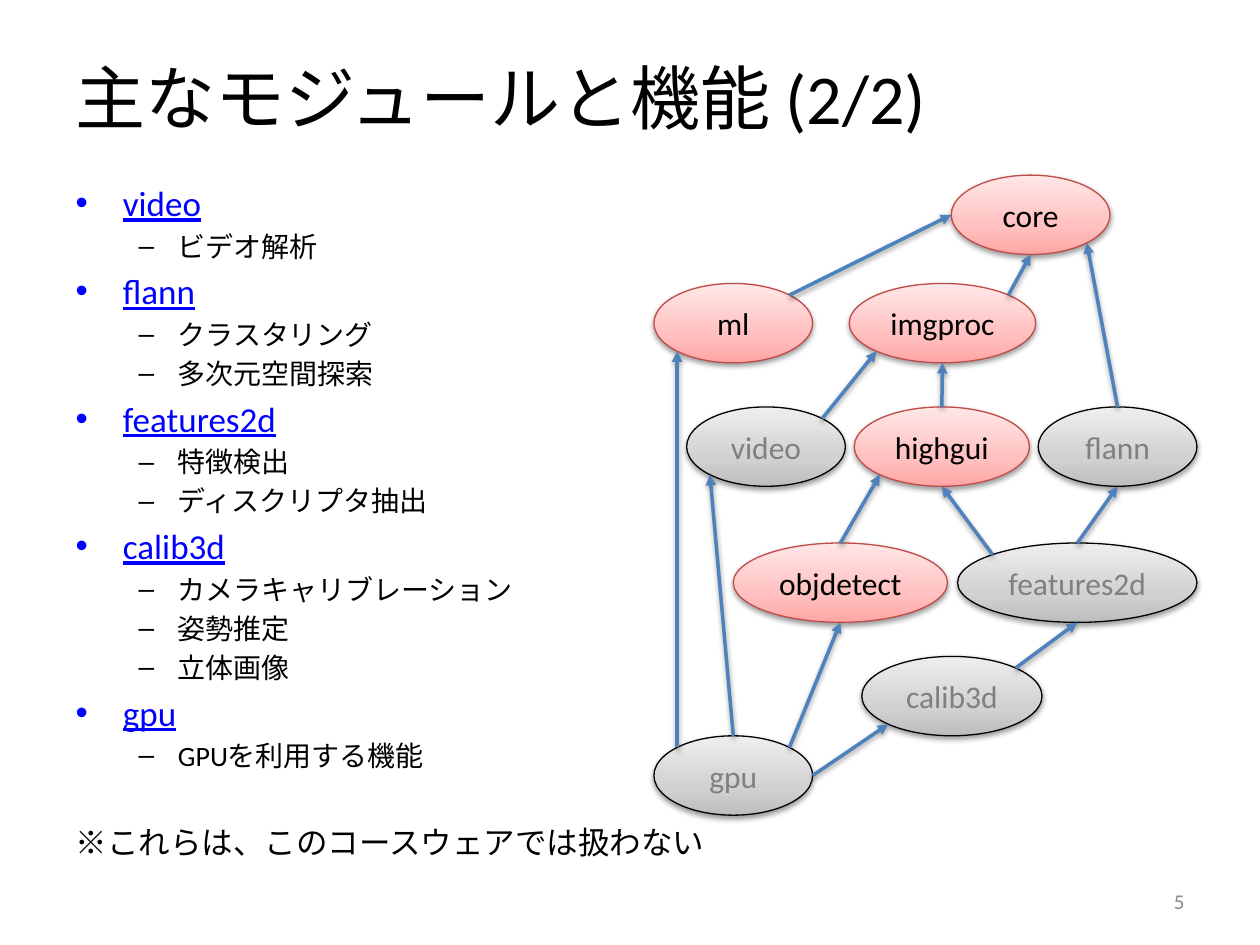
from math import sqrt
from lxml.etree import SubElement
from pptx import Presentation
from pptx.dml.color import RGBColor
from pptx.enum.lang import MSO_LANGUAGE_ID
from pptx.enum.shapes import MSO_CONNECTOR, MSO_SHAPE
from pptx.enum.text import MSO_ANCHOR, MSO_AUTO_SIZE, PP_ALIGN
from pptx.oxml import parse_xml
from pptx.oxml.ns import nsdecls, qn
from pptx.util import Inches, Pt

COLORS = {
    "text": "000000", "link": "0000FF", "number": "898989",
    "arrow": "4F81BD", "shadow": "000000",
}
STYLES = {
    "covered": {"stops": {0: "FFA6A5", 35: "FFC0BF", 100: "FFE7E7"},
                "line": "BF4C48", "text": "000000"},
    "skipped": {"stops": {0: "BDBDBD", 35: "D1D1D1", 100: "EEEEEE"},
                "line": "000000", "text": "808080"},
}


def write(para, text, size=18, color=COLORS["text"], underline=None, align=None):
    span = para.add_run()
    span.text = text
    span.font.name = "Calibri"
    span.font.size = Pt(size)
    span.font.color.rgb = RGBColor.from_string(color)
    span.font.underline = underline
    span.font.language_id = MSO_LANGUAGE_ID.JAPANESE
    para.alignment = align


def add_shadow(shape):
    shape._element.spPr.append(parse_xml(
        f'<a:effectLst {nsdecls("a")}><a:outerShdw blurRad="40000" dist="20000" '
        'dir="5400000" rotWithShape="0">'
        f'<a:srgbClr val="{COLORS["shadow"]}"><a:alpha val="38000"/></a:srgbClr>'
        '</a:outerShdw></a:effectLst>'))


deck = Presentation()
deck.slide_width, deck.slide_height = Inches(10), Inches(7.5)
page = deck.slides.add_slide(deck.slide_layouts[1])

# Grid of 100 columns by 75 rows
column, row = deck.slide_width / 100, deck.slide_height / 75

# Title
title, body = page.placeholders
title.left, title.top = int(5 * column), int(3 * row)
title.width, title.height = int(90 * column), int(9.3 * row)
title.text_frame.vertical_anchor = MSO_ANCHOR.MIDDLE
write(title.text_frame.paragraphs[0], "主なモジュールと機能 (2/2)", size=40,
      align=PP_ALIGN.LEFT)

# Module list
body.left, body.top = int(5 * column), int(13.9 * row)
body.width, body.height = int(90 * column), int(55.1 * row)
body.text_frame.auto_size = MSO_AUTO_SIZE.NONE
modules = {
    "video": ["ビデオ解析"],
    "flann": ["クラスタリング", "多次元空間探索"],
    "features2d": ["特徴検出", "ディスクリプタ抽出"],
    "calib3d": ["カメラキャリブレーション", "姿勢推定", "立体画像"],
    "gpu": ["GPUを利用する機能"],
}
para = body.text_frame.paragraphs[0]
para.space_before = Pt(0)
for module, features in modules.items():
    write(para, module, size=20, color=COLORS["link"], underline=True)
    for feature in features:
        para = body.text_frame.add_paragraph()
        para.level = 1
        write(para, feature, size=16)
    para = body.text_frame.add_paragraph()

# Closing note, without a bullet
properties = para._p.get_or_add_pPr()
properties.set("marL", "0")
properties.set("indent", "0")
SubElement(properties, qn("a:buNone"))
para.space_before = Pt(29)
write(para, "※これらは、このコースウェアでは扱わない")

# Slide number
box = page.shapes.add_textbox(int(71.7 * column), int(69.5 * row),
                              int(23.3 * column), int(4 * row))
box.text_frame.word_wrap = True
box.text_frame.vertical_anchor = MSO_ANCHOR.MIDDLE
write(box.text_frame.paragraphs[0], "5", size=12, color=COLORS["number"],
      align=PP_ALIGN.RIGHT)

# Module ellipses: left column, top row, width in columns, style
NODE_ROWS = 6.3
nodes = {
    "core": (75.5, 13.9, 12.6, "covered"),
    "imgproc": (67.4, 22.5, 14.8, "covered"),
    "highgui": (67.8, 32.3, 13.9, "covered"),
    "objdetect": (58.2, 43.1, 17, "covered"),
    "ml": (51.9, 22.5, 12.6, "covered"),
    "flann": (82.4, 32.3, 12.6, "skipped"),
    "features2d": (76, 43.1, 19, "skipped"),
    "calib3d": (68.4, 52.1, 14.3, "skipped"),
    "gpu": (51.9, 58.4, 12.6, "skipped"),
    "video": (54.5, 32.3, 12.6, "skipped"),
}
diagram = page.shapes.add_group_shape()
for name, (left, top, width, kind) in nodes.items():
    style = STYLES[kind]
    node = diagram.shapes.add_shape(
        MSO_SHAPE.OVAL, int(left * column), int(top * row),
        int(width * column), int(NODE_ROWS * row))
    stops = "".join(
        f'<a:gs pos="{share * 1000}"><a:srgbClr val="{color}"/></a:gs>'
        for share, color in style["stops"].items())
    node._element.spPr.append(parse_xml(
        f'<a:gradFill {nsdecls("a")} rotWithShape="1"><a:gsLst>{stops}</a:gsLst>'
        '<a:lin ang="16200000" scaled="0"/></a:gradFill>'))
    node.line.color.rgb = RGBColor.from_string(style["line"])
    node.line.width = Pt(0.75)
    add_shadow(node)
    node.text_frame.word_wrap = False
    node.text_frame.vertical_anchor = MSO_ANCHOR.MIDDLE
    write(node.text_frame.paragraphs[0], name, color=style["text"],
          align=PP_ALIGN.CENTER)

# Dependency arrows between compass points on the ellipses
diagonal = sqrt(0.5)
compass = {
    "n": (0, -1), "s": (0, 1), "e": (1, 0), "w": (-1, 0),
    "ne": (diagonal, -diagonal), "nw": (-diagonal, -diagonal),
    "se": (diagonal, diagonal), "sw": (-diagonal, diagonal),
}
arrows = [
    ("imgproc", "ne", "core", "s"), ("highgui", "n", "imgproc", "s"),
    ("objdetect", "n", "highgui", "sw"), ("ml", "ne", "core", "w"),
    ("video", "ne", "imgproc", "sw"), ("flann", "n", "core", "se"),
    ("features2d", "n", "flann", "s"), ("features2d", "nw", "highgui", "s"),
    ("calib3d", "ne", "features2d", "s"), ("gpu", "e", "calib3d", "sw"),
    ("gpu", "ne", "objdetect", "s"), ("gpu", "n", "video", "sw"),
    ("gpu", "nw", "ml", "sw"),
]
for source, source_side, target, target_side in arrows:
    ends = []
    for name, side in ((source, source_side), (target, target_side)):
        left, top, width, kind = nodes[name]
        across, down = compass[side]
        ends += [int((left + width / 2 * (1 + across)) * column),
                 int((top + NODE_ROWS / 2 * (1 + down)) * row)]
    arrow = diagram.shapes.add_connector(MSO_CONNECTOR.STRAIGHT, *ends)
    arrow.line.color.rgb = RGBColor.from_string(COLORS["arrow"])
    arrow.line.width = Pt(2)
    SubElement(arrow.line._get_or_add_ln(), qn("a:tailEnd"), type="triangle")
    add_shadow(arrow)

deck.save("out.pptx")
